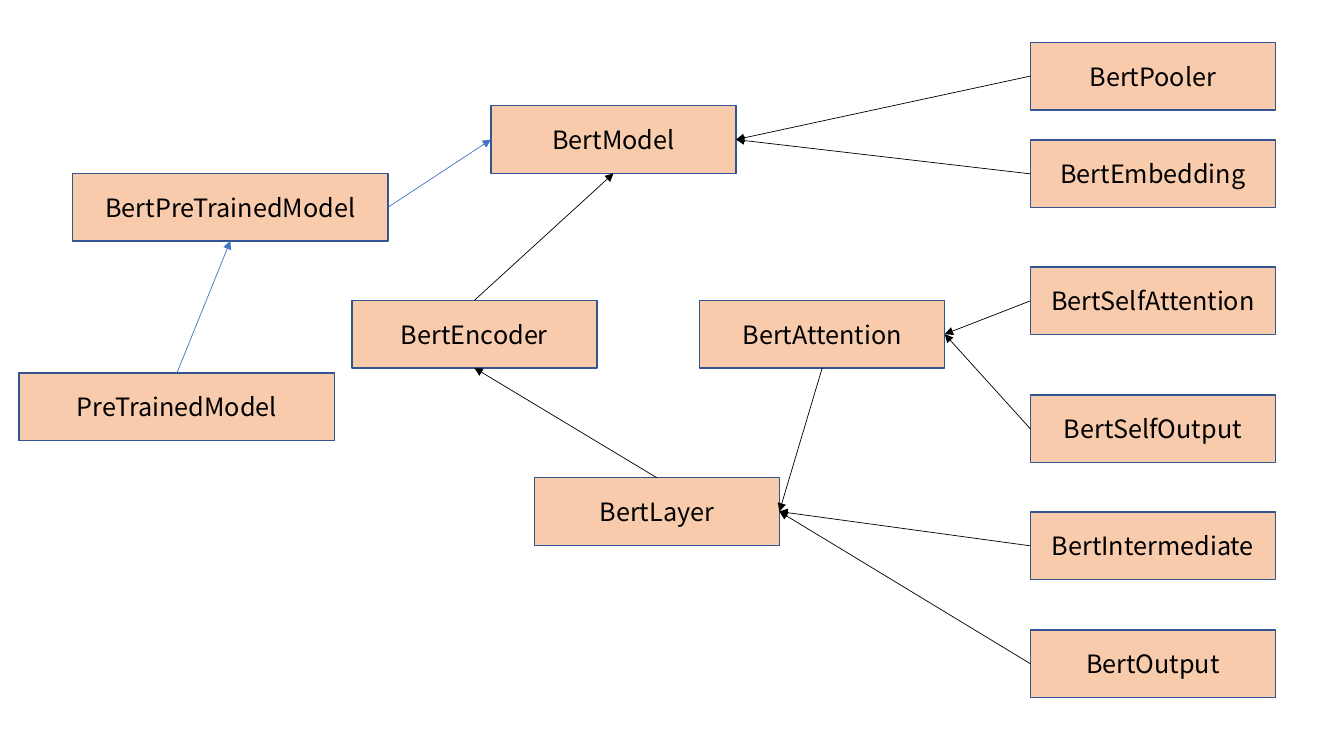
"""Build a slide showing how the BERT model classes feed into one another."""
from pptx import Presentation
from pptx.dml.color import RGBColor
from pptx.enum.shapes import MSO_CONNECTOR, MSO_SHAPE
from pptx.enum.text import MSO_ANCHOR, PP_ALIGN
from pptx.oxml.ns import qn
from pptx.util import Inches, Pt
from lxml.etree import SubElement

COLORS = {"box": "F8CBAD", "border": "325491", "text": "000000",
          "part": "000000", "inherit": "4472C4"}
FONT = {"name": "Noto Sans CJK SC", "size": Pt(18)}
TOP, LEFT, BOTTOM, RIGHT = range(4)
HEIGHT, WIDTH, BASE_WIDTH = 0.67, 2.43, 3.13
PART_LEFT = 10.22

PARTS = [("BertPooler", 0.42), ("BertEmbedding", 1.39),
         ("BertSelfAttention", 2.65), ("BertSelfOutput", 3.92),
         ("BertIntermediate", 5.08), ("BertOutput", 6.25)]
BOXES = [
    ("PreTrainedModel", 0.19, 3.7, BASE_WIDTH),
    ("BertPreTrainedModel", 0.72, 1.72, BASE_WIDTH),
    ("BertModel", 4.87, 1.05, WIDTH),
    ("BertEncoder", 3.49, 2.98, WIDTH),
    ("BertAttention", 6.94, 2.98, WIDTH),
    ("BertLayer", 5.3, 4.74, WIDTH),
] + [(name, PART_LEFT, top, WIDTH) for name, top in PARTS]

PART_OWNERS = {"BertModel": ("BertPooler", "BertEmbedding"),
               "BertAttention": ("BertSelfAttention", "BertSelfOutput"),
               "BertLayer": ("BertIntermediate", "BertOutput")}
ARROWS = [
    ("PreTrainedModel", TOP, "BertPreTrainedModel", BOTTOM, "inherit"),
    ("BertPreTrainedModel", RIGHT, "BertModel", LEFT, "inherit"),
    ("BertEncoder", TOP, "BertModel", BOTTOM, "part"),
    ("BertLayer", TOP, "BertEncoder", BOTTOM, "part"),
    ("BertAttention", BOTTOM, "BertLayer", RIGHT, "part"),
] + [(part, LEFT, owner, RIGHT, "part")
     for owner, parts in PART_OWNERS.items() for part in parts]


def rgb(key):
    return RGBColor.from_string(COLORS[key])


def add_box(s, name, left, top, width):
    sp = s.shapes.add_shape(MSO_SHAPE.RECTANGLE, Inches(left), Inches(top),
                            Inches(width), Inches(HEIGHT))
    sp.shadow.inherit = False
    sp.fill.solid()
    sp.fill.fore_color.rgb = rgb("box")
    sp.line.color.rgb = rgb("border")
    sp.line.width = Pt(1)
    tf = sp.text_frame
    tf.vertical_anchor = MSO_ANCHOR.MIDDLE
    p = tf.paragraphs[0]
    p.alignment = PP_ALIGN.CENTER
    r = p.add_run()
    r.text = name
    r.font.color.rgb = rgb("text")
    for attr, value in FONT.items():
        setattr(r.font, attr, value)
    return sp


def add_arrow(s, start, start_side, end, end_side, kind):
    line = s.shapes.add_connector(MSO_CONNECTOR.STRAIGHT, 0, 0, 0, 0)
    line.begin_connect(start, start_side)
    line.end_connect(end, end_side)
    line.line.color.rgb = rgb(kind)
    line.line.width = Pt(0.5)
    sp_pr = line._element.spPr
    SubElement(sp_pr.find(qn("a:ln")), qn("a:tailEnd"), type="triangle")
    SubElement(sp_pr, qn("a:effectLst"))


prs = Presentation()
prs.slide_width, prs.slide_height = Inches(13.33), Inches(7.5)
s = prs.slides.add_slide(prs.slide_layouts[6])
boxes = {box[0]: add_box(s, *box) for box in BOXES}
for start, start_side, end, end_side, kind in ARROWS:
    add_arrow(s, boxes[start], start_side, boxes[end], end_side, kind)
prs.save("out.pptx")
